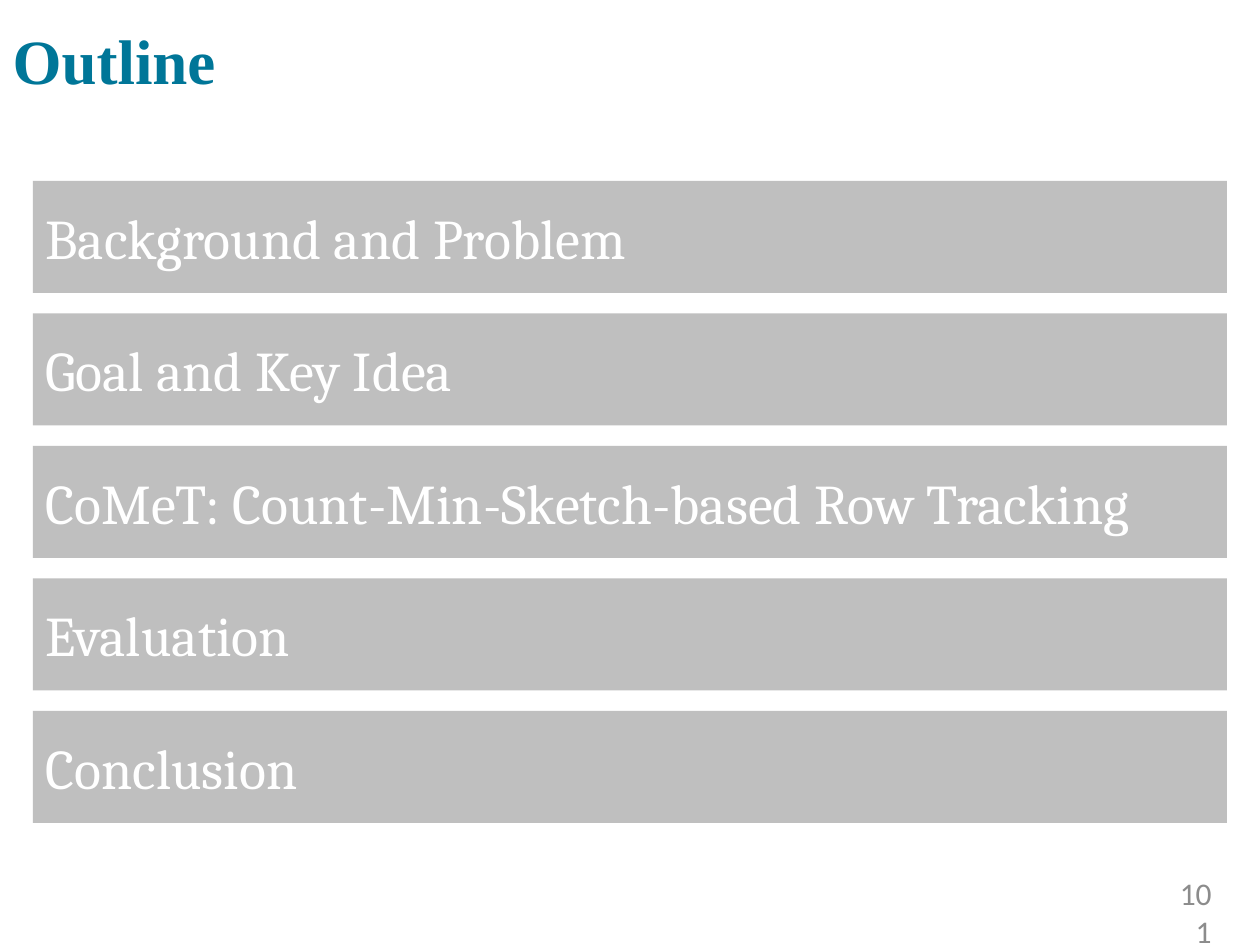
from pptx import Presentation
from pptx.dml.color import RGBColor
from pptx.enum.shapes import MSO_SHAPE
from pptx.enum.text import MSO_ANCHOR, PP_ALIGN
from pptx.util import Emu, Pt

EMU_PER_PX = 914400 / 126
SLIDE_WIDTH, SLIDE_HEIGHT = 1260, 945
BAR_HEIGHT = 112
SECTIONS = [
    "Background and Problem",
    "Goal and Key Idea",
    "CoMeT: Count-Min-Sketch-based Row Tracking",
    "Evaluation",
    "Conclusion",
]


def px(length):
    return Emu(round(length * EMU_PER_PX))


def color(hex_string):
    return RGBColor.from_string(hex_string)


def write(shape, text, font_name, size, hex_color, align=PP_ALIGN.LEFT, bold=False):
    frame = shape.text_frame
    frame.text = text
    frame.word_wrap = True
    frame.vertical_anchor = MSO_ANCHOR.MIDDLE
    paragraph = frame.paragraphs[0]
    paragraph.alignment = align
    font = paragraph.font
    font.name, font.size, font.bold = font_name, Pt(size), bold
    font.color.rgb = color(hex_color)
    return paragraph


def add_title(slide, left, top, width, height):
    title = slide.shapes.title
    title.left, title.top = px(left), px(top)
    title.width, title.height = px(width), px(height)
    paragraph = write(title, "Outline", "Times New Roman", 36, "007698", bold=True)
    paragraph.line_spacing = 0.9


def add_section_bars(slide, left, top, width, height):
    # Spread the bars evenly over the full height
    pitch = (height - BAR_HEIGHT) / (len(SECTIONS) - 1)
    for index, section in enumerate(SECTIONS):
        bar = slide.shapes.add_shape(
            MSO_SHAPE.RECTANGLE,
            px(left), px(top + index * pitch), px(width), px(BAR_HEIGHT))
        bar.shadow.inherit = False
        bar.fill.solid()
        bar.fill.fore_color.rgb = color("BFBFBF")
        bar.line.fill.background()
        write(bar, section, "Cambria", 32, "FFFFFF")


def add_page_number(slide, left, top, width, height):
    box = slide.shapes.add_textbox(px(left), px(top), px(width), px(height))
    write(box, "101", "Calibri", 18, "8C8C8C", PP_ALIGN.RIGHT)


def main():
    presentation = Presentation()
    presentation.slide_width = px(SLIDE_WIDTH)
    presentation.slide_height = px(SLIDE_HEIGHT)
    title_only = presentation.slide_layouts[5]
    slide = presentation.slides.add_slide(title_only)

    add_title(slide, 0, 0, SLIDE_WIDTH, 128)
    add_section_bars(slide, 33, 181, 1194, 642)
    add_page_number(slide, 1157, 898, 67, 28)

    presentation.save("out.pptx")


if __name__ == "__main__":
    main()
